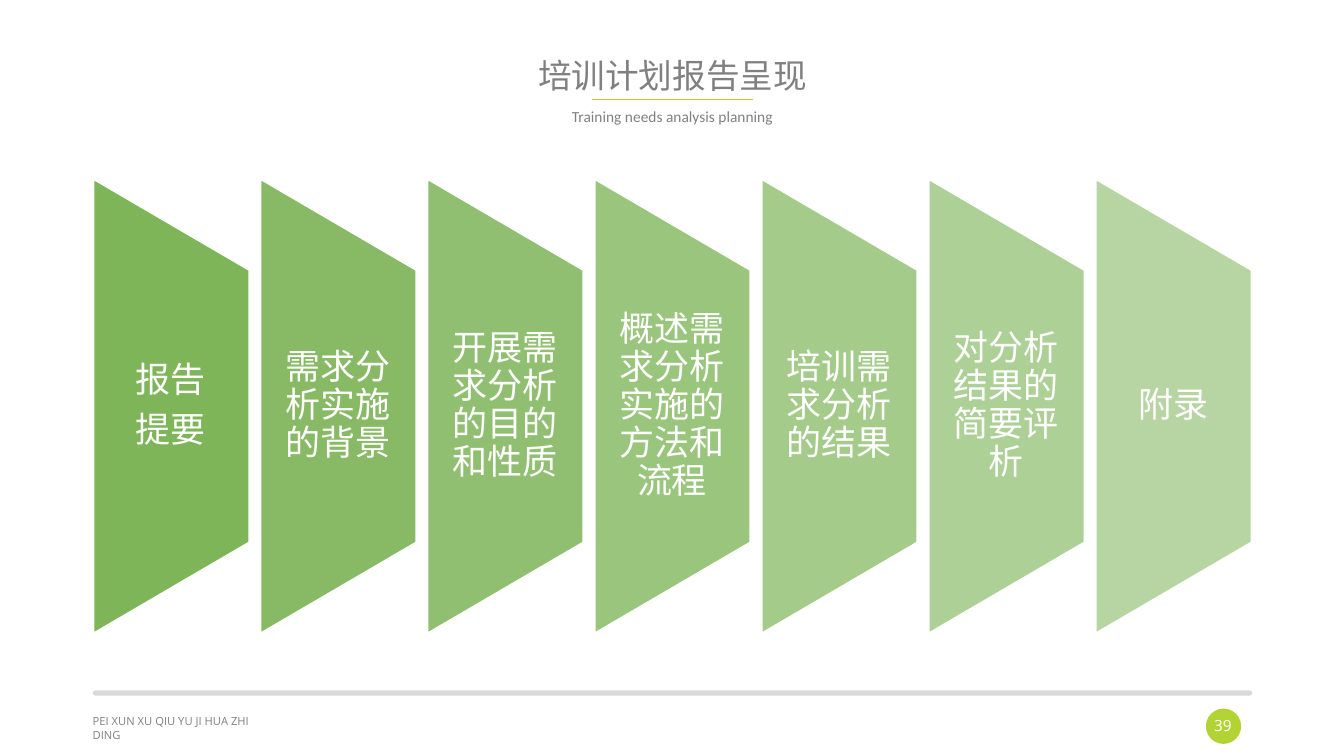
import pptx
import pptx.util
import pptx.dml.color
import pptx.enum.shapes
import pptx.enum.text
import pptx.oxml.ns
import lxml.etree

Inches = pptx.util.Inches
Pt = pptx.util.Pt
Shape = pptx.enum.shapes.MSO_SHAPE
Align = pptx.enum.text.PP_ALIGN
Anchor = pptx.enum.text.MSO_ANCHOR

GREEN, LIME, GREY, PALE, WHITE = "70AD47", "B3D334", "808080", "D9D9D9", "FFFFFF"
STEPS = [
    "报告\n提要",
    "需求分析实施的背景",
    "开展需求分析的目的和性质",
    "概述需求分析实施的方法和流程",
    "培训需求分析的结果",
    "对分析结果的简要评析",
    "附录",
]


def color(code):
    return pptx.dml.color.RGBColor.from_string(code)


def add_child(parent, tag, **attrs):
    lxml.etree.SubElement(parent, pptx.oxml.ns.qn(tag), attrs)


def style(frame, size, code, font, align=Align.CENTER, lead=None, after=None):
    for para in frame.paragraphs:
        para.alignment = align
        para.line_spacing = lead
        para.space_after = after
        for run in para.runs:
            run.font.size = Pt(size)
            run.font.name = font
            run.font.color.rgb = color(code)


def add_text(slide, box, text):
    frame = slide.shapes.add_textbox(*map(Inches, box)).text_frame
    frame.word_wrap = True
    frame.text = text
    return frame


def add_solid(slide, kind, box, fill):
    shape = slide.shapes.add_shape(kind, *map(Inches, box))
    shape.shadow.inherit = False
    shape.fill.solid()
    shape.fill.fore_color.rgb = color(fill)
    shape.line.fill.background()
    return shape


def add_head(slide, left, top, width):
    title = slide.shapes.title
    title.left, title.top = Inches(left), Inches(top)
    title.width, title.height = Inches(width), Inches(0.86)
    title.text_frame.text = "培训计划报告呈现"
    title.text_frame.vertical_anchor = Anchor.MIDDLE
    style(title.text_frame, 24, GREY, "Calibri", lead=0.9)

    mid, level = left + width / 2, top + 0.65
    rule = slide.shapes.add_connector(
        pptx.enum.shapes.MSO_CONNECTOR.STRAIGHT,
        Inches(mid - 0.8), Inches(level), Inches(mid + 0.8), Inches(level))
    rule.line.color.rgb = color(LIME)
    rule.line.width = Pt(0.5)
    add_child(rule._element.spPr, "a:effectLst")

    frame = add_text(slide, (left, top + 0.69, width, 0.58),
                     "Training needs analysis planning")
    style(frame, 11, GREY, "Calibri", lead=0.9)


def add_step(slide, left, top, width, height, text, alpha):
    """Place one trapezoid, turned so its long side faces left, and its label."""
    turned = (left + (width - height) / 2, top + (height - width) / 2, height, width)
    shape = add_solid(slide, Shape.FLOWCHART_MANUAL_OPERATION, turned, GREEN)
    shape.rotation = 270
    shape.line.color.rgb = color(WHITE)
    shape.line.width = Pt(1)
    tint = shape._element.spPr.find(
        pptx.oxml.ns.qn("a:solidFill") + "/" + pptx.oxml.ns.qn("a:srgbClr"))
    add_child(tint, "a:alpha", val=str(round(alpha * 1000)))

    frame = add_text(slide, (left, top + height * 0.2, width, height * 0.6), text)
    frame.vertical_anchor = Anchor.MIDDLE
    frame.margin_left, frame.margin_right = Inches(0.17), Inches(0.18)
    frame.margin_top = frame.margin_bottom = 0
    style(frame, 25, WHITE, "Calibri", lead=0.9, after=Pt(8.75))


def add_steps(slide, left, top, width, height):
    size, last = 1.54, len(STEPS) - 1
    pitch = (width - size) / last
    for i, text in enumerate(STEPS):
        add_step(slide, left + i * pitch, top, size, height, text, 90 - 40 * i / last)


def add_foot(slide, left, top, width):
    bar = add_solid(slide, Shape.ROUNDED_RECTANGLE, (left, top, width, 0.05), PALE)
    bar.adjustments[0] = 0.5

    frame = add_text(slide, (left - 0.1, top + 0.19, 1.78, 0.24),
                     "PEI XUN XU QIU YU JI HUA ZHI DING")
    style(frame, 8, GREY, "Open Sans", align=Align.LEFT)

    spot = left + width - 0.46
    add_solid(slide, Shape.OVAL, (spot, top + 0.18, 0.35, 0.35), LIME)
    frame = add_text(slide, (spot - 0.02, top + 0.21, 0.38, 0.29), "39")
    frame.word_wrap = False
    style(frame, 11, WHITE, "Open Sans")


def main():
    deck = pptx.Presentation()
    deck.slide_width, deck.slide_height = Inches(13.33), Inches(7.5)
    slide = deck.slides.add_slide(deck.slide_layouts[5])
    add_foot(slide, 0.92, 6.85, 11.5)
    add_head(slide, 0.92, 0.34, 11.5)
    add_steps(slide, 0.93, 1.78, 11.48, 4.5)
    deck.save("out.pptx")


if __name__ == "__main__":
    main()
